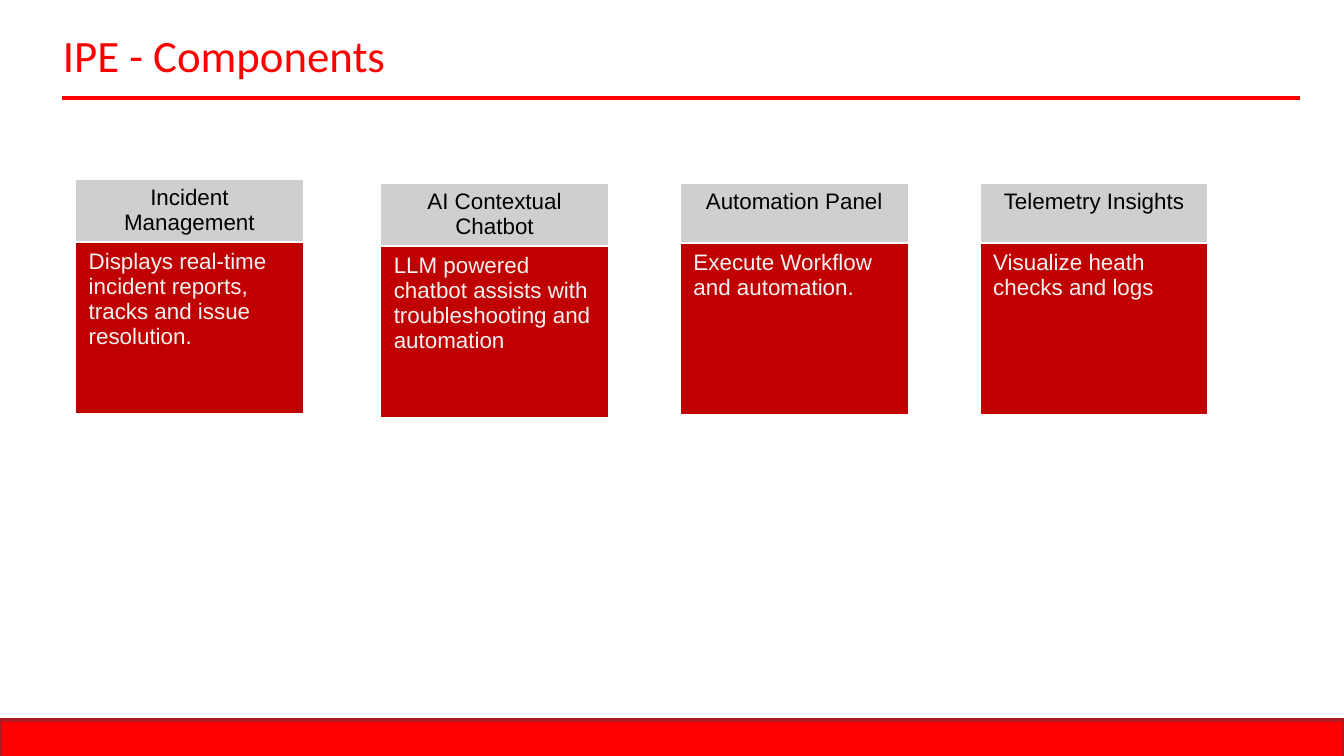
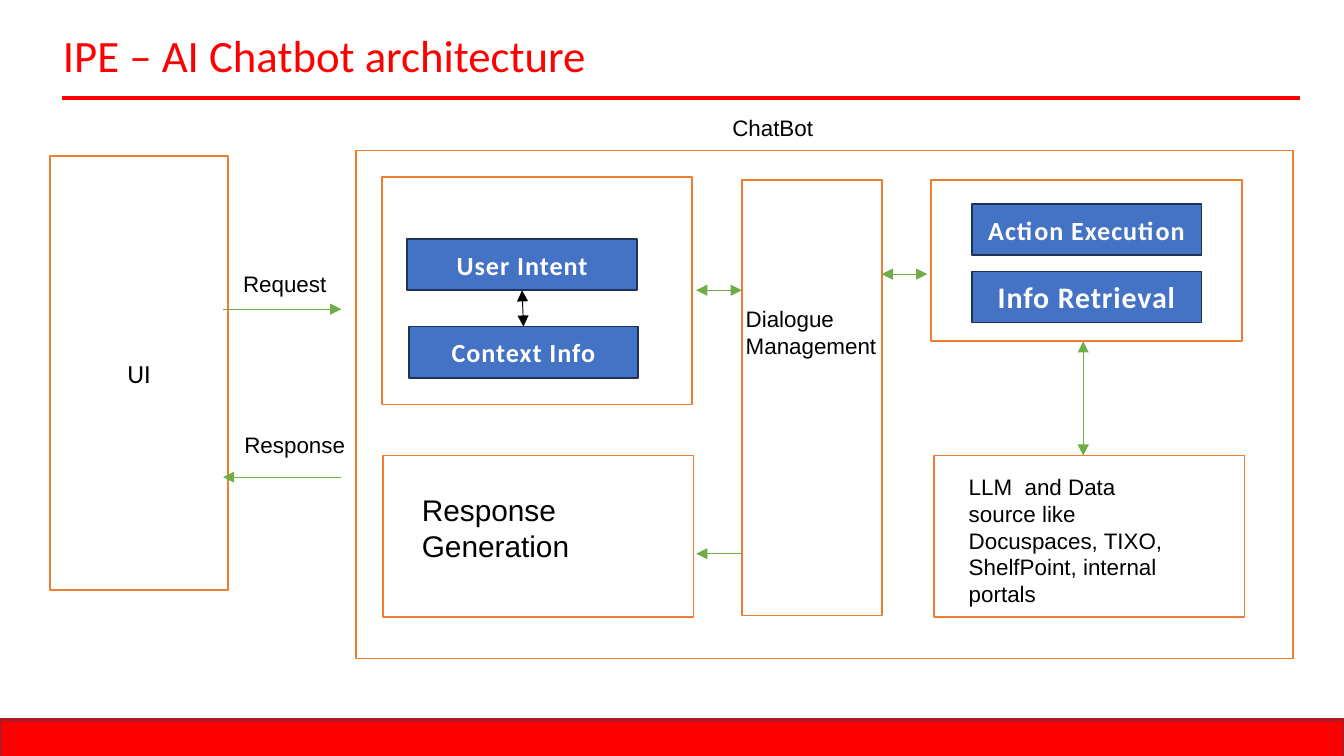
from lxml.etree import SubElement as Sub
from pptx import Presentation
from pptx.dml.color import RGBColor as RGB
from pptx.enum.shapes import MSO_CONNECTOR as Link, MSO_SHAPE as Shape
from pptx.enum.text import MSO_ANCHOR as Anchor, PP_ALIGN as Align
from pptx.oxml.ns import qn
from pptx.util import Inches, Pt

RED = RGB(0xFF, 0x00, 0x00)
EDGE = RGB(0xB2, 0x19, 0x25)
BRICK = RGB(0xC0, 0x00, 0x00)
GREY = RGB(0xD0, 0xCE, 0xCE)
PALE = RGB(0xF2, 0xF2, 0xF2)
WHITE = RGB(0xFF, 0xFF, 0xFF)
SNOW = RGB(0xFE, 0xFE, 0xFE)
BLACK = RGB(0x00, 0x00, 0x00)
ORANGE = RGB(0xED, 0x7D, 0x31)
BLUE = RGB(0x44, 0x72, 0xC4)
NAVY = RGB(0x1E, 0x32, 0x56)
GREEN = RGB(0x70, 0xAD, 0x47)

CARDS = [
    (0.56, 1.33, "Incident Management",
     "Displays real-time incident reports, tracks and issue resolution."),
    (2.83, 1.36, "AI Contextual Chatbot",
     "LLM powered chatbot assists with troubleshooting and automation"),
    (5.06, 1.36, "Automation Panel", "Execute Workflow and automation."),
    (7.29, 1.36, "Telemetry Insights", "Visualize heath checks and logs"),
]


def inch(*nums):
    return [Inches(num) for num in nums]


def stroke(parent, tag, color, width):
    line = Sub(parent, qn(tag), w=str(Pt(width)))
    fill = Sub(line, qn("a:solidFill"))
    Sub(fill, qn("a:srgbClr"), val=str(color))
    return line


def write(frame, text, size=12, font="Arial", color=BLACK, bold=False,
          align=Align.LEFT, anchor=Anchor.TOP, leading=None, glow=None):
    frame.word_wrap = True
    frame.vertical_anchor = anchor
    para = frame.paragraphs[0]
    para.alignment = align
    if leading:
        para.line_spacing = leading
    run = para.add_run()
    run.text = text
    run.font.name = font
    run.font.size = Pt(size)
    run.font.bold = bold
    run.font.color.rgb = color
    if glow:
        props = run.font._element
        props.set("spc", "50")
        props.insert(0, stroke(props, "a:ln", glow, 0.75))


def label(slide, place, text, **style):
    box = slide.shapes.add_textbox(*inch(*place))
    write(box.text_frame, text, **style)


def block(slide, place, fill=WHITE, edge=ORANGE, width=1):
    box = slide.shapes.add_shape(Shape.RECTANGLE, *inch(*place))
    box.shadow.inherit = False
    box.fill.solid()
    box.fill.fore_color.rgb = fill
    box.line.color.rgb = edge
    box.line.width = Pt(width)
    return box


def button(slide, left, top, text, size=14):
    box = block(slide, (left, top, 1.71, 0.38), BLUE, NAVY)
    write(box.text_frame, text, size=size, font="Calibri", color=SNOW,
          bold=True, align=Align.CENTER, anchor=Anchor.MIDDLE, glow=BLUE)
    return box


def line(slide, ends, color=GREEN, width=0.5, heads=()):
    link = slide.shapes.add_connector(Link.STRAIGHT, *inch(*ends))
    link.line.color.rgb = color
    link.line.width = Pt(width)
    for head in heads:
        Sub(link.line._get_or_add_ln(), qn(head), type="triangle")
    Sub(link._element.spPr, qn("a:effectLst"))
    return link


TAIL = ("a:tailEnd",)
BOTH = ("a:headEnd", "a:tailEnd")


def card(slide, left, top, head, body):
    frame = slide.shapes.add_table(2, 1, *inch(left, top, 1.7, 1.73))
    table = frame.table
    table.first_row = table.horz_banding = False
    rows = [(0.45, head, GREY, BLACK, Align.CENTER),
            (1.28, body, BRICK, PALE, Align.LEFT)]
    for at, (height, text, fill, color, align) in enumerate(rows):
        table.rows[at].height = Inches(height)
        cell = table.cell(at, 0)
        cell.margin_bottom = Inches(0.02)
        write(cell.text_frame, text, color=color, align=align)
        props = cell._tc.get_or_add_tcPr()
        for side in "LRTB":
            stroke(props, f"a:ln{side}", WHITE, 1)
        cell.fill.solid()
        cell.fill.fore_color.rgb = fill


def page(deck, title):
    slide = deck.slides.add_slide(deck.slide_layouts[6])
    label(slide, (0.37, 0.12, 8.62, 0.63), title, size=24, font="Calibri",
          color=RED, anchor=Anchor.MIDDLE, leading=0.9)
    line(slide, (0.46, 0.73, 9.67, 0.73), RED, 2.25)
    block(slide, (0, 5.36, 10, 0.3), RED, EDGE, 2)
    return slide


def parts(deck):
    slide = page(deck, "IPE - Components")
    for item in CARDS:
        card(slide, *item)


def chatbot(deck):
    slide = page(deck, "IPE – AI Chatbot architecture")
    front = block(slide, (0.37, 1.16, 1.33, 3.23))
    write(front.text_frame, "UI", size=14, font="Calibri",
          align=Align.CENTER, anchor=Anchor.MIDDLE)
    for place in [
        (2.65, 1.12, 6.97, 3.78),
        (2.84, 1.32, 2.31, 1.69),
        (2.85, 3.39, 2.31, 1.2),
        (5.52, 1.34, 1.04, 3.24),
        (6.93, 1.34, 2.31, 1.2),
        (6.95, 3.39, 2.31, 1.2),
    ]:
        block(slide, place)

    intent = button(slide, 3.03, 1.78, "User Intent")
    context = button(slide, 3.04, 2.43, "Context Info")
    link = line(slide, (3.87, 2.16, 3.9, 2.43), BLACK, heads=BOTH)
    link.begin_connect(intent, 2)
    link.end_connect(context, 0)

    for ends, heads in [
        ((1.66, 2.3, 2.54, 2.3), TAIL),
        ((2.54, 3.55, 1.66, 3.55), TAIL),
        ((5.18, 2.16, 5.52, 2.16), BOTH),
        ((5.52, 4.12, 5.18, 4.12), TAIL),
        ((6.56, 2.04, 6.9, 2.04), BOTH),
        ((8.06, 2.54, 8.06, 3.39), BOTH),
    ]:
        line(slide, ends, heads=heads)

    label(slide, (1.71, 1.96, 0.95, 0.3), "Request")
    label(slide, (1.72, 3.16, 1, 0.3), "Response")
    label(slide, (3.04, 3.61, 1.89, 0.64), "Response Generation", size=16)
    label(slide, (5.45, 2.22, 1.35, 0.5), "Dialogue Management")
    label(slide, (5.35, 0.8, 1.35, 0.3), "ChatBot")
    label(slide, (7.11, 3.47, 1.83, 1.11),
          "LLM  and Data source like Docuspaces, TIXO, ShelfPoint, "
          "internal portals")
    button(slide, 7.23, 1.52, "Action Execution")
    button(slide, 7.23, 2.02, "Info Retrieval", size=16)


def main():
    deck = Presentation()
    deck.slide_width = Inches(10)
    deck.slide_height = deck.slide_width * 9 // 16
    parts(deck)
    chatbot(deck)
    deck.save("out.pptx")


if __name__ == "__main__":
    main()
